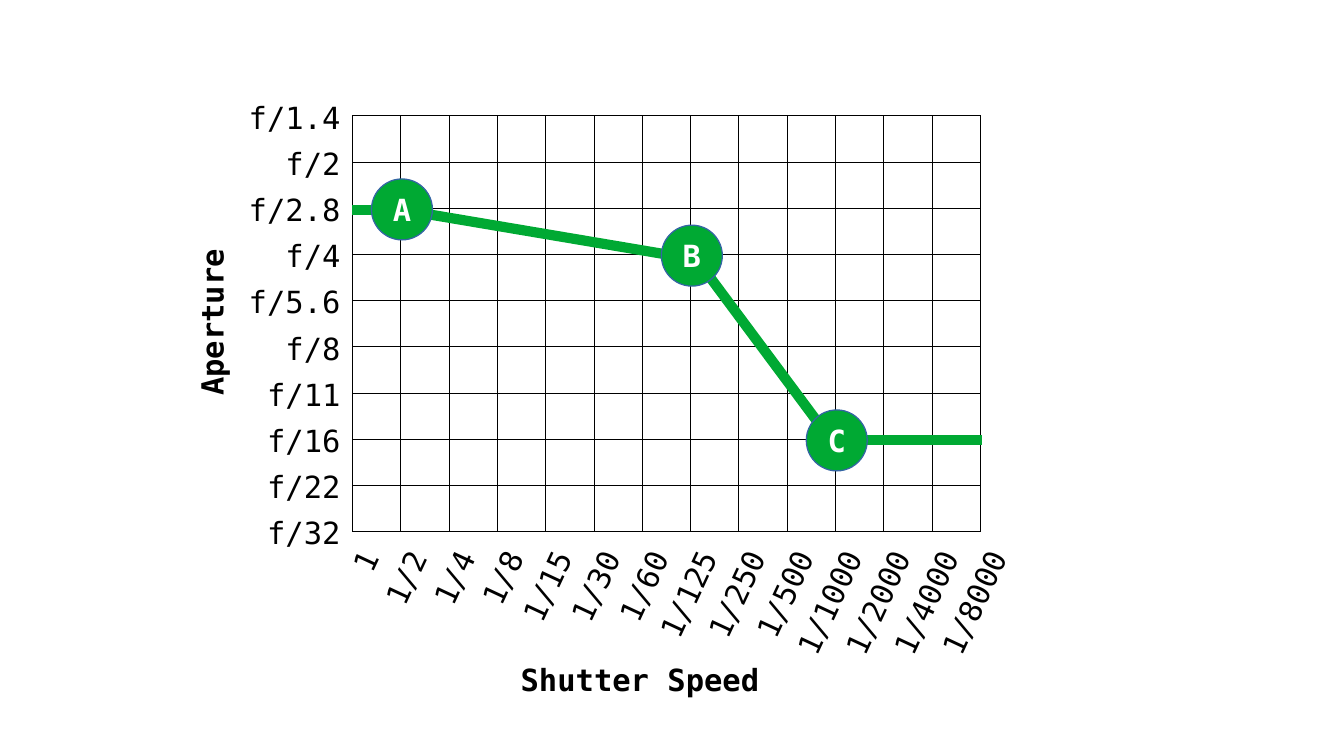
import math

from lxml import etree
from pptx import Presentation
from pptx.dml.color import RGBColor
from pptx.enum.shapes import MSO_CONNECTOR, MSO_SHAPE
from pptx.enum.text import MSO_ANCHOR, MSO_AUTO_SIZE, PP_ALIGN
from pptx.oxml.ns import qn
from pptx.util import Inches, Pt

LEFT, CENTER, RIGHT = PP_ALIGN.LEFT, PP_ALIGN.CENTER, PP_ALIGN.RIGHT
MIDDLE = MSO_ANCHOR.MIDDLE
FIT_SHAPE = MSO_AUTO_SIZE.SHAPE_TO_FIT_TEXT
OVAL = MSO_SHAPE.OVAL
STRAIGHT = MSO_CONNECTOR.STRAIGHT

COLORS = {"ink": "000000", "trace": "00A933", "rim": "3465A4", "white": "FFFFFF"}

APERTURES = ["f/1.4", "f/2", "f/2.8", "f/4", "f/5.6",
             "f/8", "f/11", "f/16", "f/22", "f/32"]
SPEEDS = ["1", "1/2", "1/4", "1/8", "1/15", "1/30", "1/60", "1/125",
          "1/250", "1/500", "1/1000", "1/2000", "1/4000", "1/8000"]

# Grid geometry in inches
GRID_X, GRID_Y, GRID_W, GRID_H = 2.89, 0.95, 5.15, 3.41
COLS, ROWS = len(SPEEDS) - 1, len(APERTURES) - 1
COL_W, ROW_H = GRID_W / COLS, GRID_H / ROWS

# Exposure curve: segments, then points as (column, row) of the grid
TRACE = [(2.89, 1.72, 3.25, 1.72), (3.29, 1.72, 5.66, 2.12),
         (5.67, 2.07, 6.8, 3.59), (7, 3.61, 8.05, 3.61)]
POINTS = {"A": (1, 2), "B": (7, 3), "C": (10, 7)}
POINT_SIZE = 0.5

SPEED_ANGLE = 65
CHAR_W = 0.15


def rgb(name):
    return RGBColor.from_string(COLORS[name])


class ChartSlide:
    font = "DejaVu Sans Mono"
    size = Pt(18)

    def __init__(self, prs):
        self.s = prs.slides.add_slide(prs.slide_layouts[6])

    def set_text(self, tf, text, color, bold, align):
        tf.text = text
        p = tf.paragraphs[0]
        p.alignment = align
        r = p.runs[0]
        r.font.name, r.font.size, r.font.bold = self.font, self.size, bold
        r.font.color.rgb = rgb(color)

    def label(self, text, x, y, w, h=0.39, align=LEFT, bold=False, angle=0, wrap=True):
        sp = self.s.shapes.add_textbox(Inches(x), Inches(y), Inches(w), Inches(h))
        sp.rotation = angle
        tf = sp.text_frame
        tf.word_wrap = wrap
        tf.auto_size = FIT_SHAPE
        self.set_text(tf, text, "ink", bold, align)

    def grid(self, x, y, w, h, rows, cols):
        table = self.s.shapes.add_table(rows, cols, Inches(x), Inches(y),
                                        Inches(w), Inches(h)).table
        table.first_row = table.horz_banding = False
        for col in table.columns:
            col.width = Inches(w / cols)
        for row in table.rows:
            row.height = Inches(h / rows)
        for cell in table.iter_cells():
            cell.margin_top = cell.margin_bottom = 0
            self.border(cell)
            cell.fill.background()

    def border(self, cell):
        tc_pr = cell._tc.get_or_add_tcPr()
        for side in ("a:lnL", "a:lnR", "a:lnT", "a:lnB"):
            ln = etree.SubElement(tc_pr, qn(side), w=str(Pt(0.57)))
            fill = etree.SubElement(ln, qn("a:solidFill"))
            etree.SubElement(fill, qn("a:srgbClr"), val=COLORS["ink"])

    def segment(self, x1, y1, x2, y2):
        line = self.s.shapes.add_connector(STRAIGHT, Inches(x1), Inches(y1),
                                           Inches(x2), Inches(y2))
        line.line.color.rgb = rgb("trace")
        line.line.width = Pt(6)
        etree.SubElement(line._element.spPr, qn("a:effectLst"))

    def point(self, text, cx, cy):
        d = POINT_SIZE
        sp = self.s.shapes.add_shape(OVAL, Inches(cx - d / 2), Inches(cy - d / 2),
                                     Inches(d), Inches(d))
        sp.shadow.inherit = False
        sp.fill.solid()
        sp.fill.fore_color.rgb = rgb("trace")
        sp.line.color.rgb = rgb("rim")
        sp.line.width = 0
        sp.text_frame.vertical_anchor = MIDDLE
        self.set_text(sp.text_frame, text, "white", True, CENTER)


def main():
    prs = Presentation()
    prs.slide_width, prs.slide_height = Inches(11.02), Inches(6.2)
    chart = ChartSlide(prs)

    chart.grid(GRID_X, GRID_Y, GRID_W, GRID_H, ROWS, COLS)

    # Shutter speeds: slanted labels whose upper ends line up under the columns
    slant = math.radians(SPEED_ANGLE)
    for i, speed in enumerate(SPEEDS):
        half = len(speed) * CHAR_W / 2
        w = 2 * half + 0.2
        cx = GRID_X + i * COL_W + 0.13 - half * math.cos(slant)
        cy = 4.53 + half * math.sin(slant)
        chart.label(speed, cx - w / 2, cy - 0.195, w,
                    angle=360 - SPEED_ANGLE, wrap=False)

    # Apertures: one label per grid line
    for i, aperture in enumerate(APERTURES):
        chart.label(aperture, 1.75, 0.76 + i * ROW_H, 1.14, align=RIGHT)

    # Axis titles
    chart.label("Aperture", 0.91, 2.22, 1.75, 0.5, bold=True, angle=270)
    chart.label("Shutter Speed", 4.17, 5.37, 2.25, 0.68, bold=True)

    # Exposure curve and its points
    for ends in TRACE:
        chart.segment(*ends)
    for name, (col, row) in POINTS.items():
        chart.point(name, GRID_X + col * COL_W + 0.01, GRID_Y + row * ROW_H + 0.01)

    prs.save("out.pptx")


if __name__ == "__main__":
    main()
